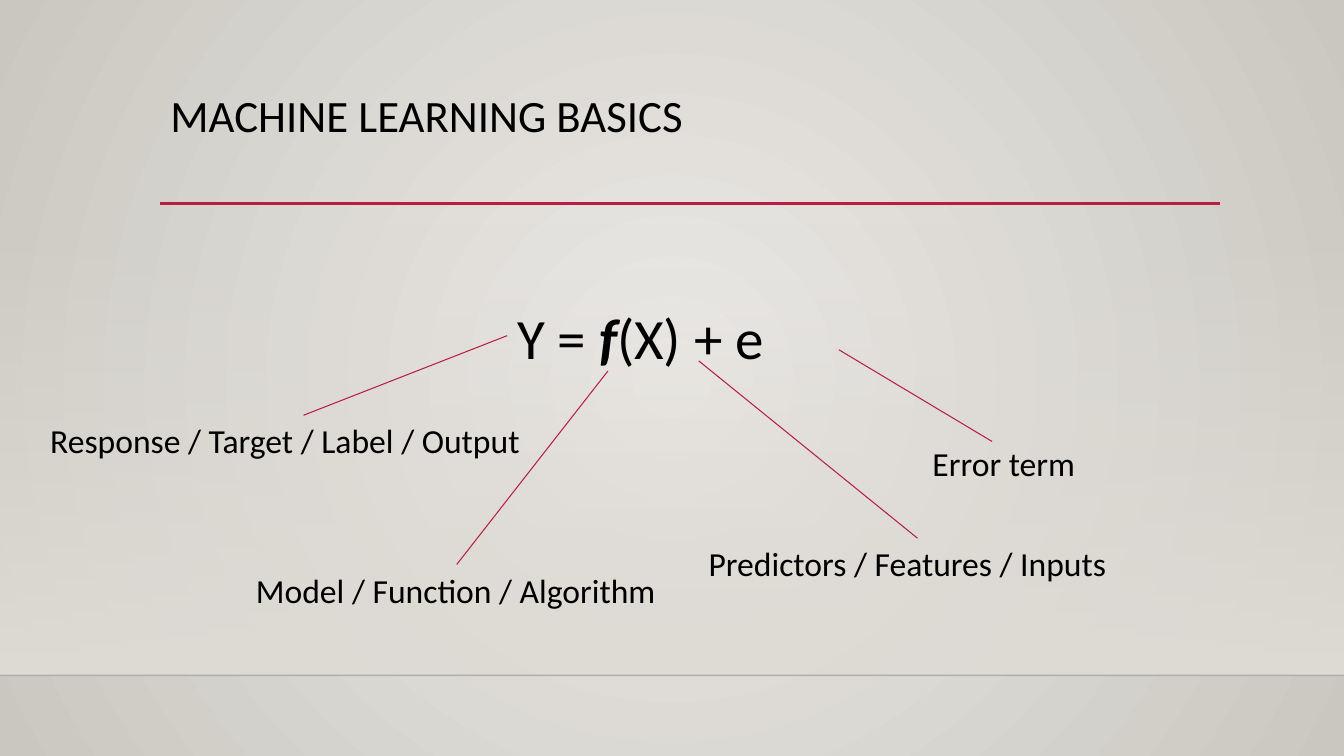
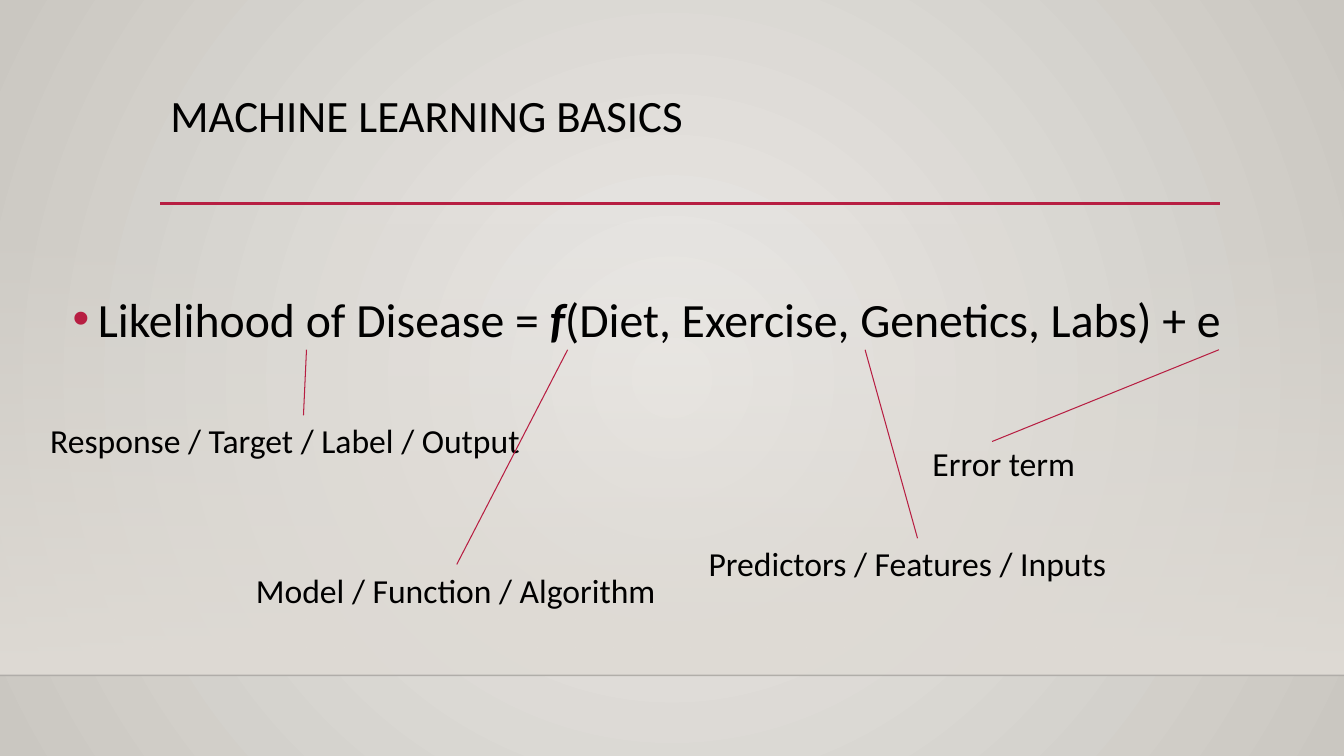
from lxml.etree import SubElement
from pptx import Presentation
from pptx.dml.color import RGBColor
from pptx.enum.shapes import MSO_CONNECTOR, MSO_SHAPE
from pptx.enum.text import MSO_ANCHOR, MSO_AUTO_SIZE, PP_ALIGN
from pptx.oxml.ns import qn
from pptx.util import Pt

PX = 9144  # EMU in one px, 100 px to the inch
PAGE_WIDTH, PAGE_HEIGHT = 1333, 750
FONT = "Calibri"
BLACK = RGBColor(0x00, 0x00, 0x00)
CRIMSON = RGBColor(0xB7, 0x1E, 0x42)
PALE = RGBColor(0xEC, 0xEA, 0xE7)
STONE = RGBColor(0xCA, 0xC7, 0xC1)
SAND = RGBColor(0xDF, 0xDB, 0xD5)
FLOOR_LINE = RGBColor(0x00, 0x00, 0x01)

TITLE = "MACHINE LEARNING BASICS"
TITLE_BOX = (159, 88, 1050, 115)
# Each label: text, box, start of its leader line
LABELS = [
    ("Response / Target / Label / Output", (40, 412, 523, 50), (301, 412)),
    ("Model / Function / Algorithm", (244, 560, 423, 50), (453, 560)),
    ("Predictors / Features / Inputs", (693, 534, 434, 50), (910, 534)),
    ("Error term", (915, 434, 175, 50), (984, 438)),
]


def scaled(*lengths):
    return [length * PX for length in lengths]


def place(shape, box):
    shape.left, shape.top, shape.width, shape.height = scaled(*box)


def style_span(span, size):
    span.font.name = FONT
    span.font.size = Pt(size)
    span.font.color.rgb = BLACK


def set_alpha(color_parent, percent):
    color = color_parent.find(".//" + qn("a:srgbClr"))
    SubElement(color, qn("a:alpha"), val=str(percent * 1000))


def color_stops(fill, colors):
    fill.gradient()
    for stop, color in zip(fill.gradient_stops, colors):
        stop.color.rgb = color


def add_line(page, start, end, color, width):
    line = page.shapes.add_connector(MSO_CONNECTOR.STRAIGHT, *scaled(*start, *end))
    line.line.color.rgb = color
    line.line.width = Pt(width)
    SubElement(line.element.spPr, qn("a:effectLst"))
    return line


def set_background(layout):
    color_stops(layout.background.fill, (PALE, STONE))
    gradient = layout.element.find(".//" + qn("p:bgPr") + "/" + qn("a:gradFill"))
    gradient.remove(gradient.find(qn("a:lin")))
    circle = SubElement(gradient, qn("a:path"), path="circle")
    SubElement(circle, qn("a:fillToRect"), l="50000", t="50000", r="50000", b="50000")


def decorate_layout(layout, page):
    """Draw the shared wall, floor line and title rule, then move them to the layout."""
    set_background(layout)
    place(layout.placeholders[0], TITLE_BOX)

    # Wall that fades in towards the floor
    wall = page.shapes.add_shape(MSO_SHAPE.RECTANGLE, *scaled(0, 221, PAGE_WIDTH, 449))
    wall.shadow.inherit = False
    wall.line.fill.background()
    color_stops(wall.fill, (SAND, SAND))
    wall.fill.gradient_angle = 270
    set_alpha(wall.element.spPr.find(".//" + qn("a:gs")), 0)

    # Floor line and title rule
    floor = add_line(page, (0, 670), (PAGE_WIDTH, 670), FLOOR_LINE, 1)
    set_alpha(floor.element.spPr.find(qn("a:ln")), 20)
    rule = add_line(page, (159, 202), (1210, 202), CRIMSON, 2.5)

    for number, part in enumerate((wall, floor, rule), start=20):
        part.element.find(".//" + qn("p:cNvPr")).set("id", str(number))
        layout.shapes.element.append(part.element)


def fill_title(page):
    title = page.shapes.title
    place(title, TITLE_BOX)
    frame = title.text_frame
    frame.text = TITLE
    frame.vertical_anchor = MSO_ANCHOR.TOP
    para = frame.paragraphs[0]
    para.alignment = PP_ALIGN.LEFT
    para.line_spacing = 0.9
    style_span(para.runs[0], 32)


def set_bullet(para, bulleted):
    properties = para._p.get_or_add_pPr()
    indent = 25 * PX if bulleted else 0
    properties.set("marL", str(indent))
    properties.set("indent", str(-indent))
    if bulleted:
        color = SubElement(properties, qn("a:buClr"))
        SubElement(color, qn("a:srgbClr"), val=str(CRIMSON))
        SubElement(properties, qn("a:buChar"), char="•")
    else:
        SubElement(properties, qn("a:buNone"))


def fill_formula(page, box, before, after, size, spacing, bulleted):
    body = page.placeholders[1]
    place(body, box)
    frame = body.text_frame
    frame.vertical_anchor = MSO_ANCHOR.TOP
    frame.auto_size = MSO_AUTO_SIZE.NONE
    para = frame.paragraphs[0]
    para.line_spacing = spacing
    para.space_before = Pt(10)
    set_bullet(para, bulleted)
    for text, is_function in ((before, False), ("f", True), (after, False)):
        span = para.add_run()
        span.text = text
        style_span(span, size)
        span.font.bold = span.font.italic = is_function


def add_labels(page, leader_ends):
    for (text, box, start), end in zip(LABELS, leader_ends):
        label = page.shapes.add_textbox(*scaled(*box))
        frame = label.text_frame
        frame.word_wrap = True
        frame.auto_size = MSO_AUTO_SIZE.SHAPE_TO_FIT_TEXT
        frame.text = text
        style_span(frame.paragraphs[0].runs[0], 24)
        add_line(page, start, end, CRIMSON, 0.75)


def fill_formula_page(page, formula, leader_ends):
    fill_title(page)
    fill_formula(page, **formula)
    add_labels(page, leader_ends)


def main():
    deck = Presentation()
    deck.slide_width, deck.slide_height = scaled(PAGE_WIDTH, PAGE_HEIGHT)
    layout = deck.slide_layouts[1]
    general, disease = [deck.slides.add_slide(layout) for _ in range(2)]
    decorate_layout(layout, general)

    # General formula
    fill_formula_page(
        general,
        dict(box=(503, 282, 329, 130), before="Y = ", after="(X) + e",
             size=40.7, spacing=1.2, bulleted=False),
        [(503, 333), (603, 368), (693, 358), (832, 347)],
    )
    # Disease example
    fill_formula_page(
        disease,
        dict(box=(62, 282, 1240, 130), before="Likelihood of Disease = ",
             after="(Diet, Exercise, Genetics, Labs) + e",
             size=34.1, spacing=1.0, bulleted=True),
        [(304, 347), (563, 347), (858, 347), (1209, 347)],
    )
    deck.save("out.pptx")


if __name__ == "__main__":
    main()
